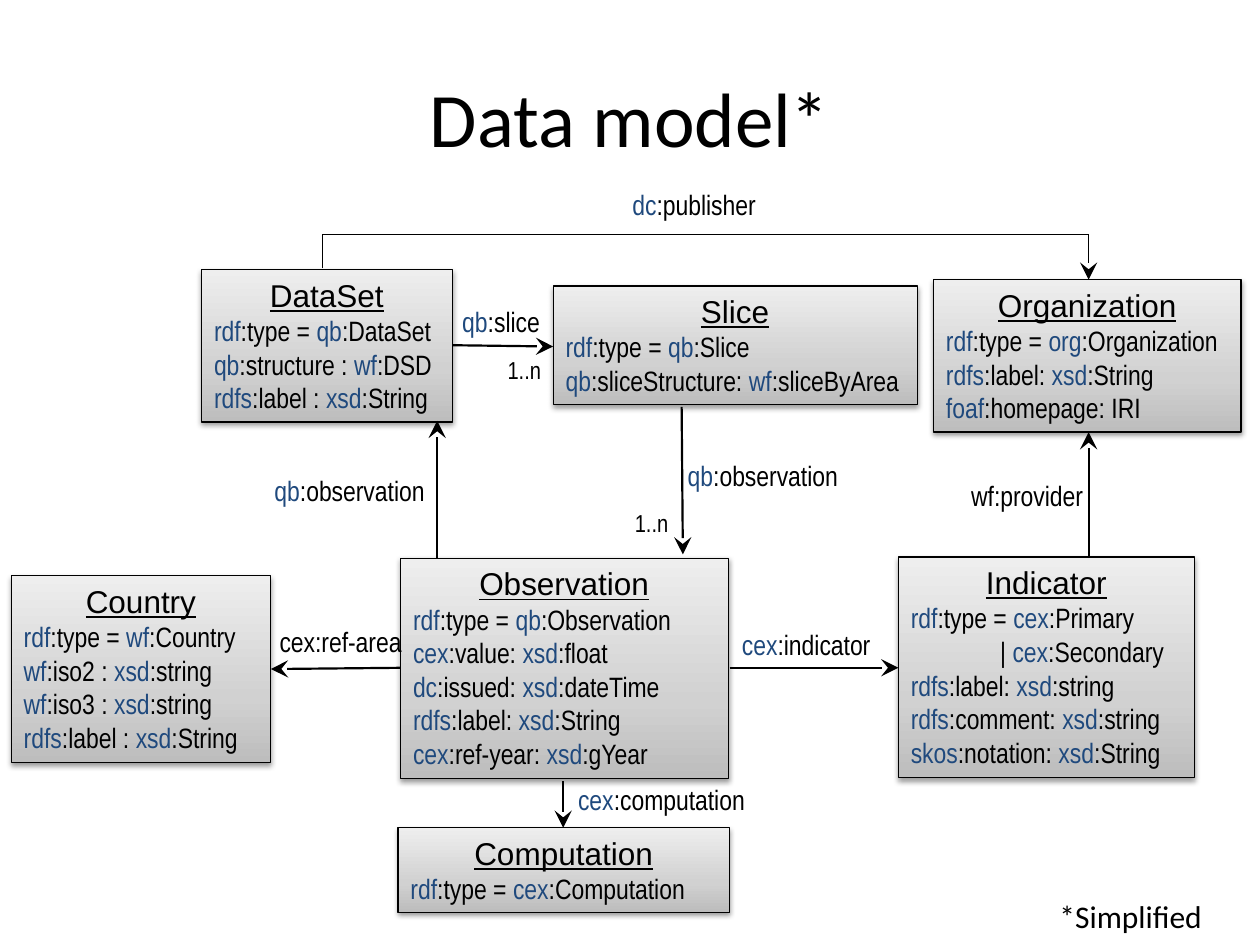
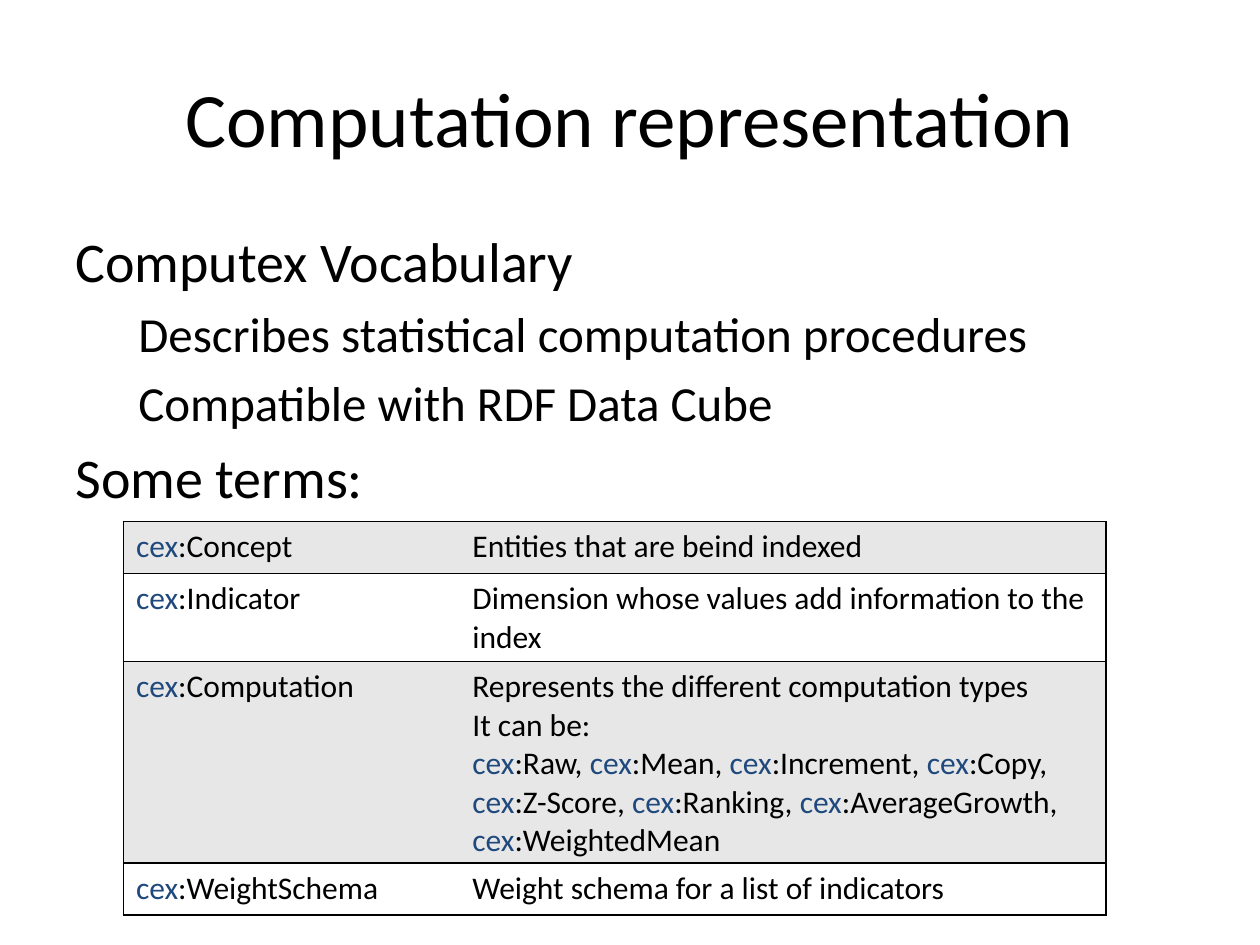
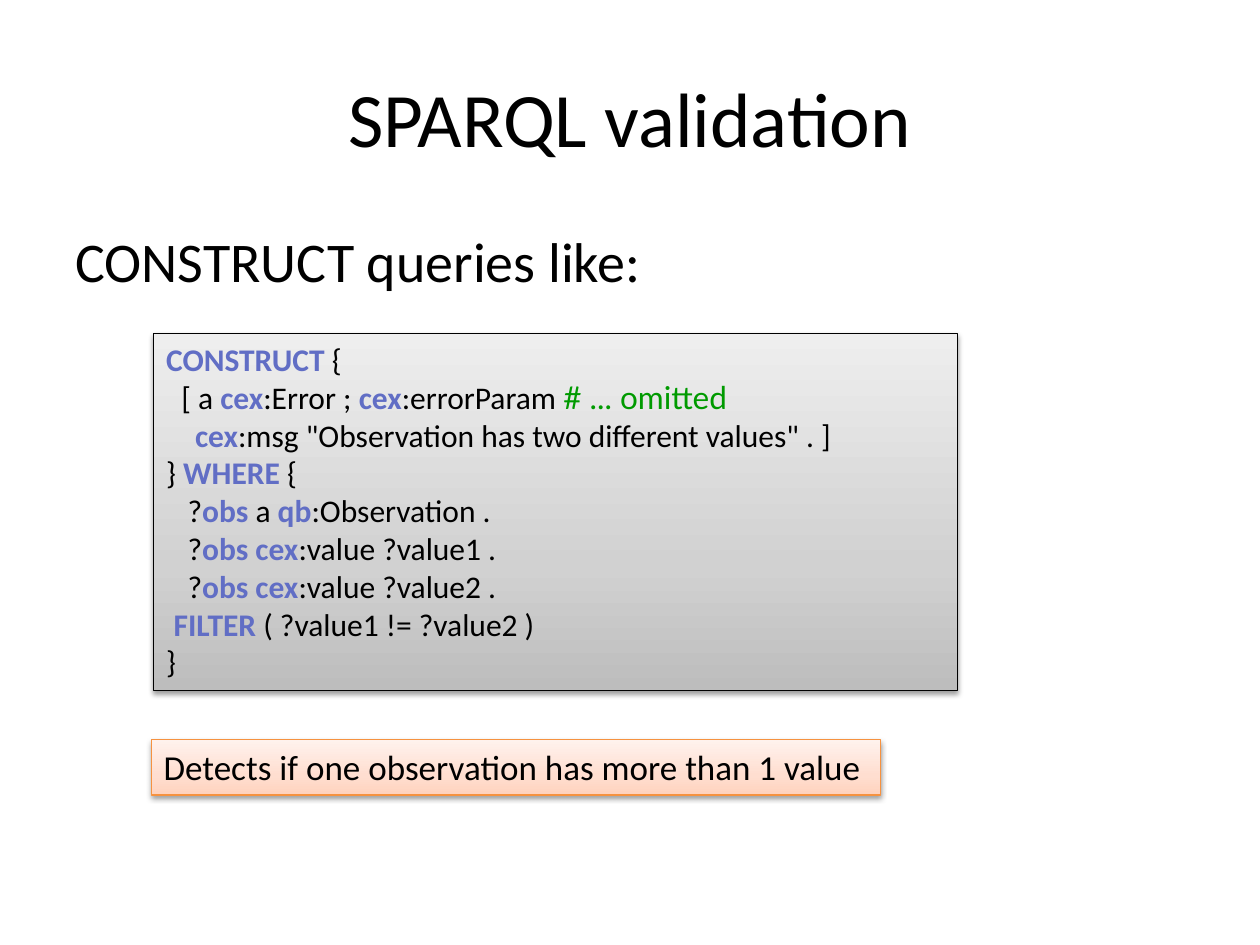
from dataclasses import dataclass

from lxml.etree import SubElement
from pptx import Presentation
from pptx.dml.color import RGBColor
from pptx.enum.shapes import MSO_CONNECTOR, MSO_SHAPE
from pptx.enum.text import MSO_ANCHOR, PP_ALIGN
from pptx.oxml.ns import qn
from pptx.util import Pt


@dataclass(frozen=True)
class Theme:
    ink: str = "000000"
    prefix: str = "1F497D"
    keyword: str = "616EC5"
    comment: str = "009A00"
    gray: tuple = ("BDBDBD", "D1D1D1", "EEEEEE")
    orange: tuple = ("FFD2BD", "FFDED0", "FFF2ED")
    orange_edge: str = "F69240"
    rows: tuple = ("E7E7E7", "FFFFFF")
    main: str = "Calibri"
    narrow: str = "Arial Narrow"
    heading: str = "Arial"
    remark: str = "Lato"
    title_size: int = 44
    body_sizes: tuple = (32, 28)
    note_size: int = 20
    text_size: int = 18
    member_size: int = 16
    count_size: int = 14
    thin: float = 0.75
    edge: float = 1
    arrow: float = 1.25


THEME = Theme()
PX = 9144
SLIDE = (1000, 750)
TITLE_BOX = (50, 30, 900, 125)
INSET_X, INSET_Y = 10, 5

CLASSES = [
    ("Observation", (318, 443, 260, 175), [
        "`rdf`:type = `qb`:Observation", "`cex`:value: `xsd`:float",
        "`dc`:issued: `xsd`:dateTime", "`rdfs`:label: `xsd`:String",
        "`cex`:ref-year: `xsd`:gYear"]),
    ("Indicator", (713, 442, 235, 175), [
        "`rdf`:type = `cex`:Primary", (71, "| `cex`:Secondary"),
        "`rdfs`:label: `xsd`:string", "`rdfs`:comment: `xsd`:string",
        "`skos`:notation: `xsd`:String"]),
    ("Organization", (741, 222, 244, 121), [
        "`rdf`:type = `org`:Organization", "`rdfs`:label: `xsd`:String",
        "`foaf`:homepage: IRI"]),
    ("Slice", (439, 227, 289, 94), [
        "`rdf`:type = `qb`:Slice", "`qb`:sliceStructure: `wf`:sliceByArea"]),
    ("Country", (9, 457, 206, 148), [
        "`rdf`:type = `wf`:Country", "`wf`:iso2 : `xsd`:string",
        "`wf`:iso3 : `xsd`:string", "`rdfs`:label : `xsd`:String"]),
    ("DataSet", (160, 214, 199, 121), [
        "`rdf`:type = `qb`:DataSet", "`qb`:structure : `wf`:DSD",
        "`rdfs`:label : `xsd`:String"]),
    ("Computation", (316, 657, 263, 67), ["`rdf`:type = `cex`:Computation"]),
]
RELATIONS = [
    ((318, 530), (215, 531)), ((579, 530), (713, 530)),
    ((541, 323), (542, 440)), ((347, 443), (347, 334)),
    ((359, 274), (439, 275)), ((864, 443), (864, 343)),
    ((447, 620), (447, 657)),
]
PUBLISHER_ROUTE = [(256, 213), (256, 186), (864, 186), (864, 222)]
RELATION_NAMES = [
    ((212, 491, 118, 37), "cex:ref-area"),
    ((579, 493, 123, 37), "`cex`:indicator"),
    ((536, 359, 140, 37), "`qb`:observation"),
    ((208, 371, 140, 37), "`qb`:observation"),
    ((357, 237, 82, 37), "`qb`:slice"),
    ((761, 375, 110, 37), "wf:provider"),
    ((492, 144, 119, 37), "`dc`:publisher"),
    ((449, 616, 154, 37), "`cex`:computation"),
]
COUNTS = [((494, 398, 47, 34), "1..n"), ((393, 277, 47, 34), "1..n")]
FOOTNOTE = ((831, 707, 135, 40), "*Simplified")

VOCABULARY = [
    (0, "Computex Vocabulary"),
    (1, "Describes statistical computation procedures"),
    (1, "Compatible with RDF Data Cube"),
    (0, "Some terms:"),
]
TERMS = [
    ("`cex`:Concept", ["Entities that are beind indexed"]),
    ("`cex`:Indicator", ["Dimension whose values add information to the index"]),
    ("`cex`:Computation", [
        "Represents the different computation types", "It can be:",
        "`cex`:Raw, `cex`:Mean, `cex`:Increment, `cex`:Copy, `cex`:Z-Score, "
        "`cex`:Ranking, `cex`:AverageGrowth, `cex`:WeightedMean"]),
    ("`cex`:WeightSchema", ["Weight schema for a list of indicators"]),
]
TERM_COLUMNS = (267, 513)
TERM_ROW = 41

QUERY = [
    "`CONSTRUCT `{",
    (12, "[ a `cex`:Error ; `cex`:errorParam `# ... omitted`"),
    (23, "`cex`:msg \"Observation has two different values\" . ]"),
    "} `WHERE `{",
    (17, "?`obs `a `qb`:Observation ."),
    (17, "?`obs cex`:value ?value1 ."),
    (17, "?`obs cex`:value ?value2 ."),
    (6, "`FILTER `( ?value1 != ?value2 )"),
    "}",
]


def px(*lengths):
    return [round(length * PX) for length in lengths]


def add_run(paragraph, text, font, size, color=THEME.ink, bold=False, underline=False):
    run = paragraph.add_run()
    run.text = text
    run.font.name = font
    run.font.size = Pt(size)
    run.font.bold = bold
    run.font.underline = underline
    run.font.color.rgb = RGBColor.from_string(color)


def add_marked(paragraph, text, font, size, accent=THEME.prefix, bold=False):
    for position, piece in enumerate(text.split("`")):
        if not piece:
            continue
        if position % 2 == 0:
            add_run(paragraph, piece, font, size)
        elif piece.startswith("#"):
            add_run(paragraph, piece, THEME.remark, size, THEME.comment)
        else:
            add_run(paragraph, piece, font, size, accent, bold)


def indent(paragraph, distance):
    paragraph._p.get_or_add_pPr().set("marL", str(px(distance)[0]))


def next_paragraph(frame):
    first = frame.paragraphs[0]
    paragraph = frame.add_paragraph() if first.runs else first
    paragraph.alignment = PP_ALIGN.LEFT
    return paragraph


def add_lines(frame, lines, font, size, **accents):
    for line in lines:
        distance, text = line if isinstance(line, tuple) else (0, line)
        paragraph = next_paragraph(frame)
        if distance:
            indent(paragraph, distance)
        add_marked(paragraph, text, font, size, **accents)


def add_label(slide, box, text, font, size):
    frame = slide.shapes.add_textbox(*px(*box)).text_frame
    frame.word_wrap = False
    add_lines(frame, [text], font, size)


def add_title(slide, text):
    frame = slide.shapes.add_textbox(*px(*TITLE_BOX)).text_frame
    frame.word_wrap = True
    frame.vertical_anchor = MSO_ANCHOR.MIDDLE
    paragraph = next_paragraph(frame)
    paragraph.alignment = PP_ALIGN.CENTER
    add_run(paragraph, text, THEME.main, THEME.title_size)


def add_body(slide, height, lines):
    frame = slide.shapes.add_textbox(*px(50, 175, 900, height)).text_frame
    frame.word_wrap = True
    for level, text in lines:
        size = THEME.body_sizes[level]
        paragraph = next_paragraph(frame)
        paragraph.space_before = Pt(size * 0.2)
        indent(paragraph, 50 * level)
        add_run(paragraph, text, THEME.main, size)


def add_panel(slide, box, shades=THEME.gray, edge=THEME.ink):
    panel = slide.shapes.add_shape(MSO_SHAPE.RECTANGLE, *px(*box))
    panel.fill.gradient()
    panel.fill.gradient_angle = 90
    properties = panel._element.spPr
    stops = properties.find(".//" + qn("a:gsLst"))
    stops.clear()
    for place, shade in zip((0, 35, 100), shades):
        stop = SubElement(stops, qn("a:gs"), pos=str(place * 1000))
        SubElement(stop, qn("a:srgbClr"), val=shade)
    panel.line.color.rgb = RGBColor.from_string(edge)
    panel.line.width = Pt(THEME.thin)
    panel.shadow.inherit = False
    shadow = SubElement(
        properties.find(qn("a:effectLst")), qn("a:outerShdw"),
        blurRad=str(Pt(3.1)), dist=str(Pt(1.6)), dir="5400000", rotWithShape="0")
    color = SubElement(shadow, qn("a:srgbClr"), val=THEME.ink)
    SubElement(color, qn("a:alpha"), val="38000")
    frame = panel.text_frame
    frame.word_wrap = True
    frame.vertical_anchor = MSO_ANCHOR.TOP
    frame.margin_left, frame.margin_top = px(INSET_X, INSET_Y)
    frame.margin_right, frame.margin_bottom = px(INSET_X, INSET_Y)
    return frame


def add_class(slide, name, box, members):
    frame = add_panel(slide, box)
    heading = next_paragraph(frame)
    inner = box[2] - 2 * INSET_X
    tabs = SubElement(heading._p.get_or_add_pPr(), qn("a:tabLst"))
    for place, side in ((inner / 2, "ctr"), (inner - 2, "l")):
        SubElement(tabs, qn("a:tab"), pos=str(px(place)[0]), algn=side)
    add_run(heading, f"\t{name}\t", THEME.heading, THEME.text_size, underline=True)
    add_lines(frame, members, THEME.narrow, THEME.member_size)


def add_line(slide, start, end, width, arrow=True):
    line = slide.shapes.add_connector(MSO_CONNECTOR.STRAIGHT, *px(*start, *end))
    line.line.color.rgb = RGBColor.from_string(THEME.ink)
    line.line.width = Pt(width)
    if arrow:
        SubElement(line.line._get_or_add_ln(), qn("a:tailEnd"),
                   type="stealth", w="lg", len="lg")
    SubElement(line._element.spPr, qn("a:effectLst"))


def set_borders(cell, outer_side):
    properties = cell._tc.get_or_add_tcPr()
    for side in "LRTB":
        border = SubElement(properties, qn(f"a:ln{side}"), w=str(Pt(THEME.edge)))
        if side in (outer_side, "T", "B"):
            solid = SubElement(border, qn("a:solidFill"))
            SubElement(solid, qn("a:srgbClr"), val=THEME.ink)
        else:
            SubElement(border, qn("a:noFill"))


def add_terms(slide):
    box = (98, 414, sum(TERM_COLUMNS), TERM_ROW * len(TERMS))
    table = slide.shapes.add_table(len(TERMS), 2, *px(*box)).table
    table.first_row = table.horz_banding = False
    for column, width in zip(table.columns, px(*TERM_COLUMNS)):
        column.width = width
    for row, (term, meaning) in enumerate(TERMS):
        for column, lines in enumerate(([term], meaning)):
            cell = table.cell(row, column)
            set_borders(cell, "LR"[column])
            cell.fill.solid()
            cell.fill.fore_color.rgb = RGBColor.from_string(THEME.rows[row % 2])
            add_lines(cell.text_frame, lines, THEME.main, THEME.text_size)


def draw_model(slide):
    for name, box, members in CLASSES:
        add_class(slide, name, box, members)
    for start, end in RELATIONS:
        add_line(slide, start, end, THEME.arrow)
    for start, end in zip(PUBLISHER_ROUTE, PUBLISHER_ROUTE[1:]):
        add_line(slide, start, end, THEME.thin, arrow=end == PUBLISHER_ROUTE[-1])
    for box, text in RELATION_NAMES:
        add_label(slide, box, text, THEME.narrow, THEME.member_size)
    for box, text in COUNTS:
        add_label(slide, box, text, THEME.narrow, THEME.count_size)
    add_label(slide, *FOOTNOTE, THEME.main, THEME.text_size)


def draw_vocabulary(slide):
    add_body(slide, 263, VOCABULARY)
    add_terms(slide)


def draw_validation(slide):
    add_body(slide, 495, [(0, "CONSTRUCT queries like:")])
    query = add_panel(slide, (122, 265, 638, 283))
    add_lines(query, QUERY, THEME.main, THEME.text_size,
              accent=THEME.keyword, bold=True)
    finding = add_panel(slide, (120, 587, 579, 44), THEME.orange, THEME.orange_edge)
    add_lines(finding, ["Detects if one observation has more than 1 value"],
              THEME.main, THEME.note_size)


SLIDES = [
    ("Data model*", draw_model),
    ("Computation representation", draw_vocabulary),
    ("SPARQL validation", draw_validation),
]


def main():
    deck = Presentation()
    deck.slide_width, deck.slide_height = px(*SLIDE)
    for title, draw in SLIDES:
        slide = deck.slides.add_slide(deck.slide_layouts[6])
        add_title(slide, title)
        draw(slide)
    deck.save("out.pptx")


if __name__ == "__main__":
    main()
